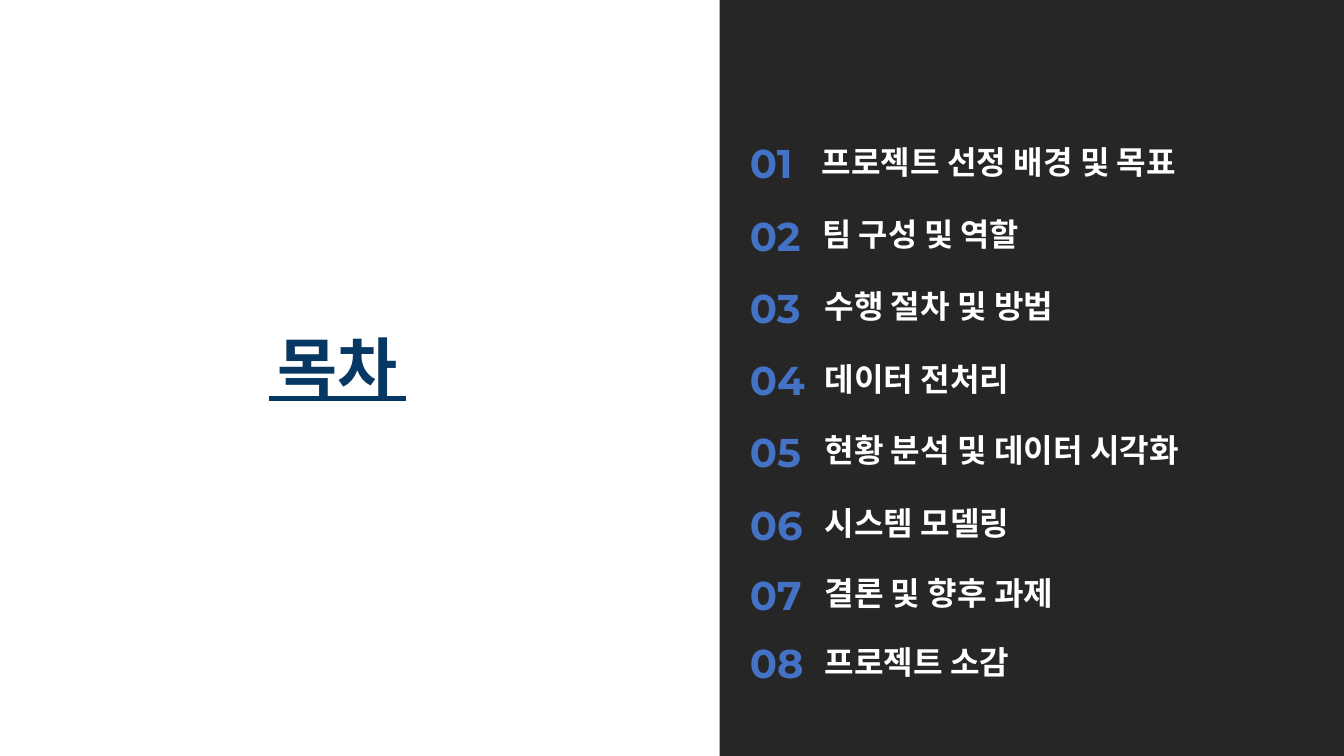
from pptx import Presentation
from pptx.dml.color import RGBColor
from pptx.enum.shapes import MSO_CONNECTOR, MSO_SHAPE
from pptx.enum.text import MSO_AUTO_SIZE, PP_ALIGN
from pptx.oxml.ns import qn
from pptx.util import Inches, Pt
from lxml.etree import SubElement

COLORS = {"navy": "073763", "panel": "262626", "number": "4472C4", "label": "FFFFFF"}
KOREAN_FONT = "Noto Sans CJK KR"
NUMBER_FONT = "Montserrat"


def add_text(slide, text, left, top, width, height, size, font_name, color, alignment=PP_ALIGN.LEFT):
    text_box = slide.shapes.add_textbox(Inches(left), Inches(top), Inches(width), Inches(height))
    frame_format = {
        "margin_left": 0, "margin_top": 0, "margin_right": 0, "margin_bottom": 0,
        "word_wrap": True, "auto_size": MSO_AUTO_SIZE.SHAPE_TO_FIT_TEXT,
    }
    for name, value in frame_format.items():
        setattr(text_box.text_frame, name, value)
    paragraph = text_box.text_frame.paragraphs[0]
    paragraph.alignment = alignment
    paragraph.line_spacing = 1.2
    run = paragraph.add_run()
    run.text = text
    for name, value in {"size": Pt(size), "name": font_name, "bold": True}.items():
        setattr(run.font, name, value)
    run.font.color.rgb = RGBColor.from_string(COLORS[color])
    SubElement(run.font._element, qn("a:ea"), typeface=font_name)


presentation = Presentation()
presentation.slide_width = Inches(20)
presentation.slide_height = Inches(11.25)
slide = presentation.slides.add_slide(presentation.slide_layouts[6])

add_text(slide, "목차", 4, 4.64, 2.04, 1.41, 70, KOREAN_FONT, "navy", PP_ALIGN.CENTER)

underline = slide.shapes.add_connector(
    MSO_CONNECTOR.STRAIGHT, Inches(4), Inches(5.93), Inches(6.04), Inches(5.93))
underline.line.color.rgb = RGBColor.from_string(COLORS["navy"])
underline.line.width = Pt(6)
SubElement(underline._element.spPr, qn("a:effectLst"))

panel = slide.shapes.add_shape(
    MSO_SHAPE.RECTANGLE, Inches(10.71), Inches(0), Inches(9.29), Inches(11.25))
panel.shadow.inherit = False
panel.fill.solid()
panel.fill.fore_color.rgb = RGBColor.from_string(COLORS["panel"])
panel.line.fill.background()

contents = [
    ("프로젝트 선정 배경 및 목표", 12.23, 1.92, 6.5, 34.4),
    ("팀 구성 및 역할", 12.24, 3, 3.76, 34),
    ("수행 절차 및 방법", 12.27, 4.07, 7.5, 34.4),
    ("데이터 전처리", 12.27, 5.15, 6, 34.4),
    ("현황 분석 및 데이터 시각화", 12.27, 6.21, 5.54, 34.4),
    ("시스템 모델링", 12.27, 7.3, 4.65, 34.4),
    ("결론 및 향후 과제", 12.27, 8.34, 5.06, 34.4),
    ("프로젝트 소감", 12.27, 9.36, 4.77, 34.4),
]
for number, (label, left, top, width, size) in enumerate(contents, start=1):
    number_width = 0.98 if number == 1 else 1.45
    add_text(slide, f"{number:02d}", 11.16, top, number_width, 0.87, 43, NUMBER_FONT, "number")
    add_text(slide, label, left, top + 0.08, width, 0.69, size, KOREAN_FONT, "label")

presentation.save("out.pptx")
